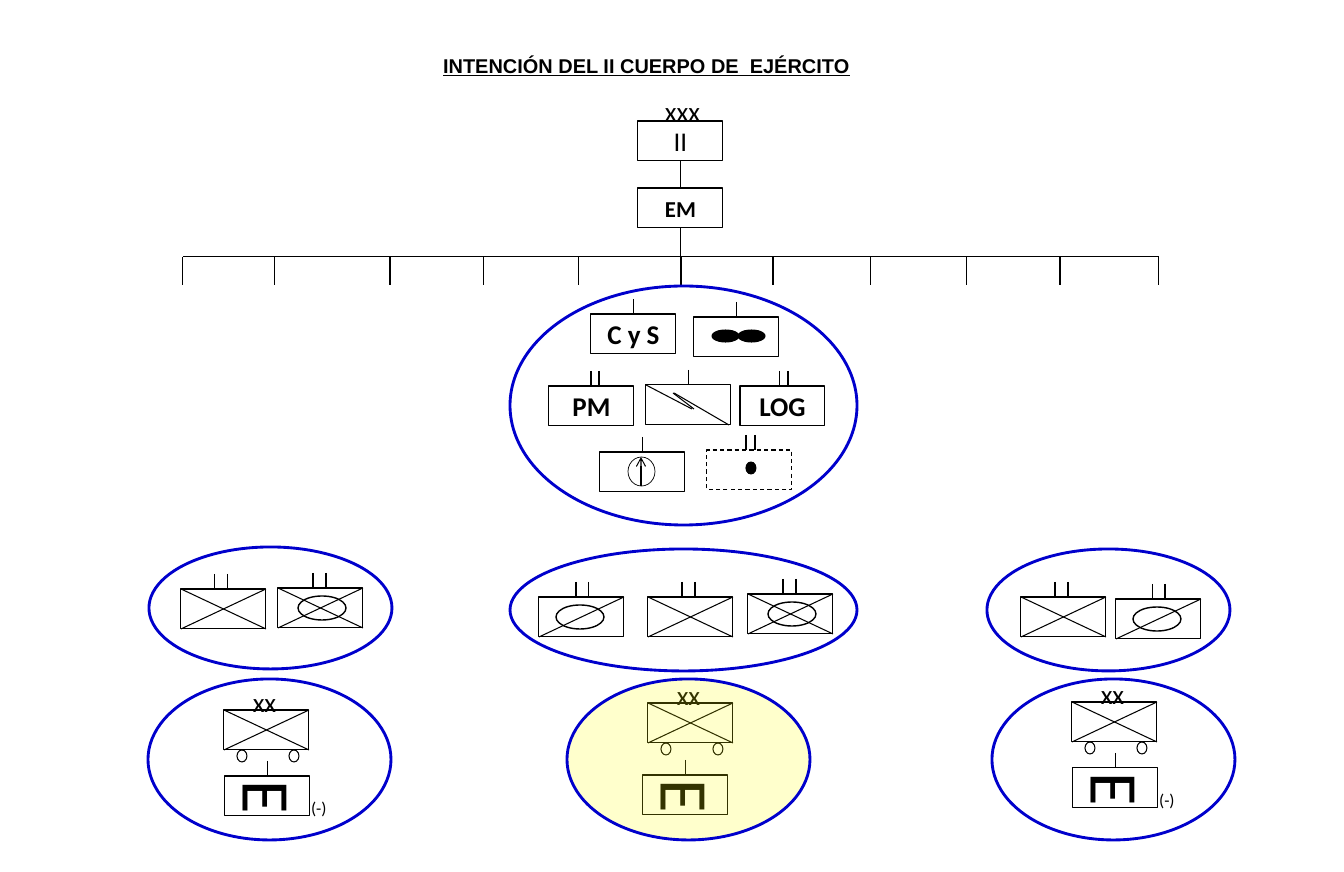
"""Build the order-of-battle slide of the II army corps."""
from lxml import etree
from pptx import Presentation
from pptx.dml.color import RGBColor
from pptx.enum.dml import MSO_LINE
from pptx.enum.shapes import MSO_CONNECTOR, MSO_SHAPE
from pptx.enum.text import MSO_ANCHOR, PP_ALIGN
from pptx.oxml.ns import qn
from pptx.util import Pt

STRAIGHT, RECT, OVAL = MSO_CONNECTOR.STRAIGHT, MSO_SHAPE.RECTANGLE, MSO_SHAPE.OVAL
LEFT, CENTER, MIDDLE, DASH = PP_ALIGN.LEFT, PP_ALIGN.CENTER, MSO_ANCHOR.MIDDLE, MSO_LINE.DASH
BLACK, WHITE = RGBColor(0, 0, 0), RGBColor(255, 255, 255)
BLUE, YELLOW = RGBColor(0, 0, 204), RGBColor(255, 255, 0)

PX = 914400 / 102.5
PAGE_W, PAGE_H = 1344, 872
UNIT_W, UNIT_H, TICK_H = 85, 40, 15
THIN = 0.75

TITLE = ("INTENCIÓN DEL II CUERPO DE  EJÉRCITO", 433, 48, 430, 35)
CORPS = ("II", 638, 121, dict(size=Pt(19), bold=False))
STAFF = ("EM", 638, 188, dict(size=Pt(16), bold=True))
CORPS_SIZE = ("xxx", 647, 89, 71, 43, 19, CENTER, 0)
BUS_Y, DROP_H = 257, 28
DROPS = [183, 275, 390, 484, 579, 681, 773, 871, 967, 1060, 1159]

RISING, FALLING = (UNIT_W, 0, 0, UNIT_H), (UNIT_W, UNIT_H, 0, 0)
CROSS = [RISING, FALLING]
STROKES = {
    "infantry": CROSS,
    "mechanized": CROSS,
    "division": CROSS,
    "armor": [RISING],
    "signals": [(46, 24, 0, 0), (83, 40, 28, 8), (48, 24, 27, 8)],
}
DISCS = {
    "mechanized": [(20, 8, 48, 24, None, 1)],
    "armor": [(17, 8, 48, 24, None, 1)],
    "division": [(x, 40, 10, 12, None, THIN) for x in (13, 65)],
    "aviation": [(28, 5, 27, 29, WHITE, 0.5)],
    "artillery": [(39, 12, 10, 12, BLACK, THIN)],
    "recon": [(x, 13, 27, 12, BLACK, THIN) for x in (44, 18)],
}
ARROWS = {"aviation": (41, 34, 41, 5)}
ENGINEER = ("E", 25, -33, 39, 93, 48, LEFT, 90)
NOTES = {
    "division": [("xx", 5, -30, 71, 43, 19, CENTER, 0)],
    "engineer": [ENGINEER],
    "engineer minus": [ENGINEER, ("(-)", 76, 16, 40, 31, 12, LEFT, 0)],
}
LABELS = {"command": "C y S", "police": "PM", "logistics": "LOG"}

COMPANY = ()
UNITS = [
    ("command", 591, 314, COMPANY),
    ("signals", 646, 385, COMPANY),
    ("logistics", 740, 386, (40, 48)),
    ("police", 549, 386, (42, 50)),
    ("aviation", 600, 452, COMPANY),
    ("artillery", 707, 450, (39, 48)),
    ("recon", 694, 317, COMPANY),
    ("infantry", 181, 589, (34, 47)),
    ("mechanized", 278, 588, (35, 48)),
    ("armor", 539, 597, (37, 50)),
    ("infantry", 648, 597, (34, 47)),
    ("mechanized", 748, 594, (35, 48)),
    ("infantry", 1021, 597, (34, 47)),
    ("armor", 1116, 599, (37, 49)),
    ("division", 224, 710, None),
    ("division", 648, 703, None),
    ("division", 1072, 702, None),
    ("engineer minus", 225, 776, COMPANY),
    ("engineer", 643, 775, COMPANY),
    ("engineer minus", 1073, 768, COMPANY),
]
RINGS = [
    (149, 547, 243, 122, None), (987, 549, 243, 122, None),
    (510, 549, 347, 122, None), (510, 286, 347, 239, None),
    (148, 679, 243, 161, None), (992, 679, 243, 161, None),
    (567, 679, 243, 161, YELLOW),
]


def emu(*lengths):
    return [round(length * PX) for length in lengths]


def write(box, text, align, wrap=True, **formats):
    frame = box.text_frame
    frame.word_wrap = wrap
    para = frame.paragraphs[0]
    para.alignment = align
    span = para.add_run()
    span.text = text
    span.font.color.rgb = BLACK
    for name, value in {"name": "Calibri", **formats}.items():
        setattr(span.font, name, value)


def add_text(shapes, text, x, y, w, h, size, align, turn):
    box = shapes.add_textbox(*emu(x, y, w, h))
    box.rotation = turn
    write(box, text, align, size=Pt(size))


def add_shape(shapes, kind, x, y, w, h, fill, width=THIN, color=BLACK):
    shape = shapes.add_shape(kind, *emu(x, y, w, h))
    shape.shadow.inherit = False
    if fill is None:
        shape.fill.background()
    else:
        shape.fill.solid()
        shape.fill.fore_color.rgb = fill
    shape.line.color.rgb = color
    shape.line.width = Pt(width)
    return shape


def add_line(shapes, x1, y1, x2, y2, arrow=False):
    line = shapes.add_connector(STRAIGHT, *emu(x1, y1, x2, y2))
    line.line.color.rgb = BLACK
    line.line.width = Pt(THIN)
    properties = line._element.spPr
    if arrow:
        etree.SubElement(properties.find(qn("a:ln")), qn("a:tailEnd"), type="arrow")
    etree.SubElement(properties, qn("a:effectLst"))
    return line


def add_frame(shapes, x, y, label="", **formats):
    box = add_shape(shapes, RECT, x, y, UNIT_W, UNIT_H, WHITE)
    if label:
        box.text_frame.vertical_anchor = MIDDLE
        write(box, label, CENTER, False, **formats)
    return box


def add_unit(page, kind, x, y, ticks):
    shapes = page.shapes.add_group_shape().shapes
    box = add_frame(shapes, x, y, LABELS.get(kind, ""), size=Pt(19), bold=True)
    if kind == "artillery":
        box.line.dash_style = DASH
    if ticks == COMPANY:
        middle = x + UNIT_W / 2
        add_line(shapes, middle, y - TICK_H, middle, y).end_connect(box, 0)
    for dx in ticks or ():
        add_line(shapes, x + dx, y - TICK_H, x + dx, y)
    for x1, y1, x2, y2 in STROKES.get(kind, []):
        add_line(shapes, x + x1, y + y1, x + x2, y + y2)
    for dx, dy, w, h, fill, width in DISCS.get(kind, []):
        add_shape(shapes, OVAL, x + dx, y + dy, w, h, fill, width)
    if kind in ARROWS:
        x1, y1, x2, y2 = ARROWS[kind]
        add_line(shapes, x + x1, y + y1, x + x2, y + y2, arrow=True)
    for text, dx, dy, *rest in NOTES.get(kind, []):
        add_text(shapes, text, x + dx, y + dy, *rest)


def add_command(page):
    shapes = page.shapes
    text, *place = TITLE
    title = shapes.add_textbox(*emu(*place))
    title.text_frame.vertical_anchor = MIDDLE
    write(title, text, LEFT, False, name="Arial", size=Pt(14), bold=True, underline=True)
    corps, staff = [add_frame(shapes, x, y, label, **formats)
                    for label, x, y, formats in (CORPS, STAFF)]
    add_text(shapes, *CORPS_SIZE)
    middle = CORPS[1] + UNIT_W / 2
    link = add_line(shapes, middle, CORPS[2] + UNIT_H, middle, STAFF[2])
    link.begin_connect(corps, 2)
    link.end_connect(staff, 0)
    add_line(shapes, middle, STAFF[2] + UNIT_H, middle, BUS_Y).begin_connect(staff, 2)
    add_line(shapes, DROPS[0], BUS_Y, DROPS[-1], BUS_Y)
    for x in DROPS:
        add_line(shapes, x, BUS_Y, x, BUS_Y + DROP_H)


def main():
    deck = Presentation()
    deck.slide_width, deck.slide_height = emu(PAGE_W, PAGE_H)
    page = deck.slides.add_slide(deck.slide_layouts[6])
    add_command(page)
    for unit in UNITS:
        add_unit(page, *unit)
    for *place, fill in RINGS:
        ring = add_shape(page.shapes, OVAL, *place, fill, 2, BLUE)
        if fill is not None:
            tint = ring._element.spPr.find(qn("a:solidFill")).find(qn("a:srgbClr"))
            etree.SubElement(tint, qn("a:alpha"), val="20000")
    deck.save("out.pptx")


if __name__ == "__main__":
    main()
